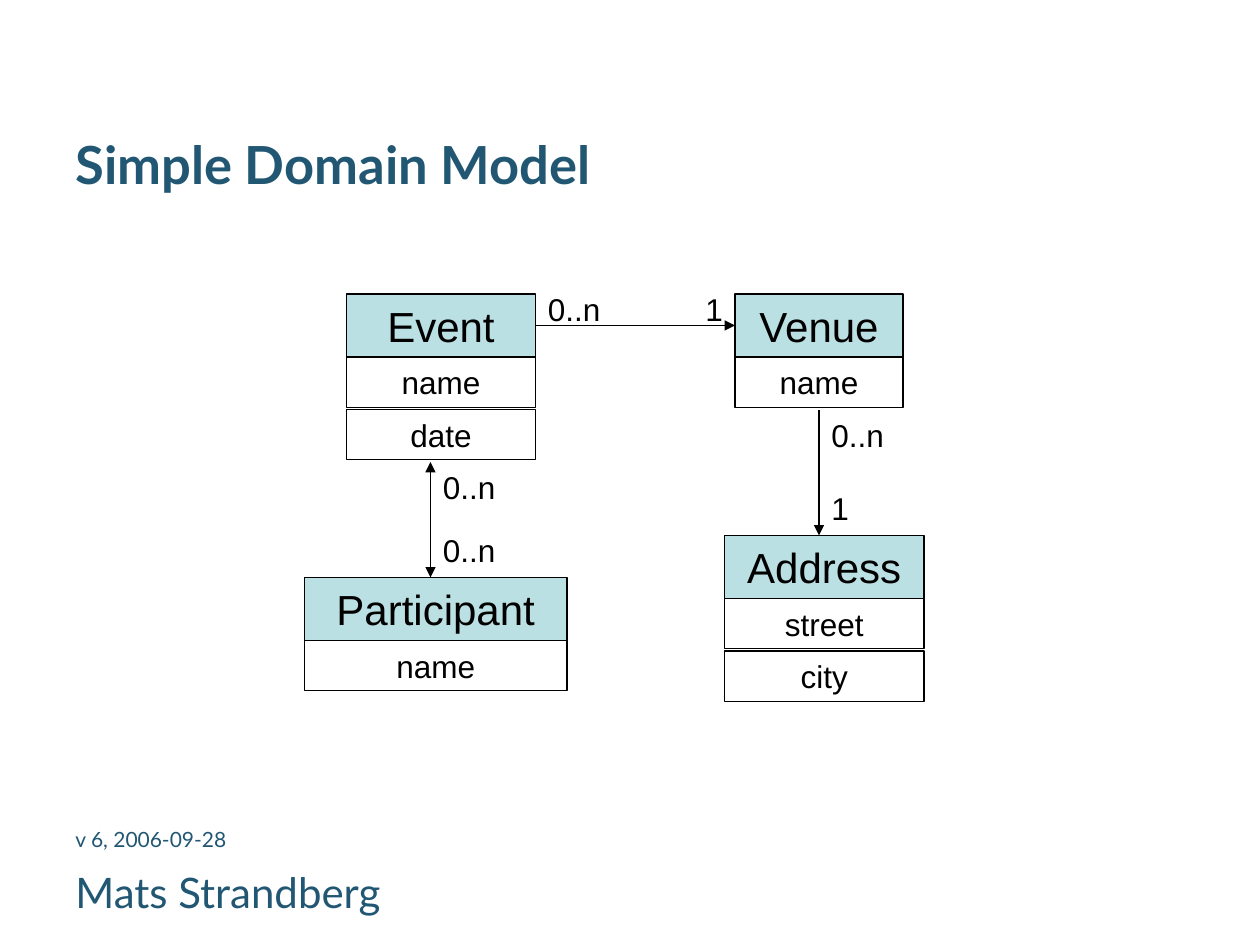
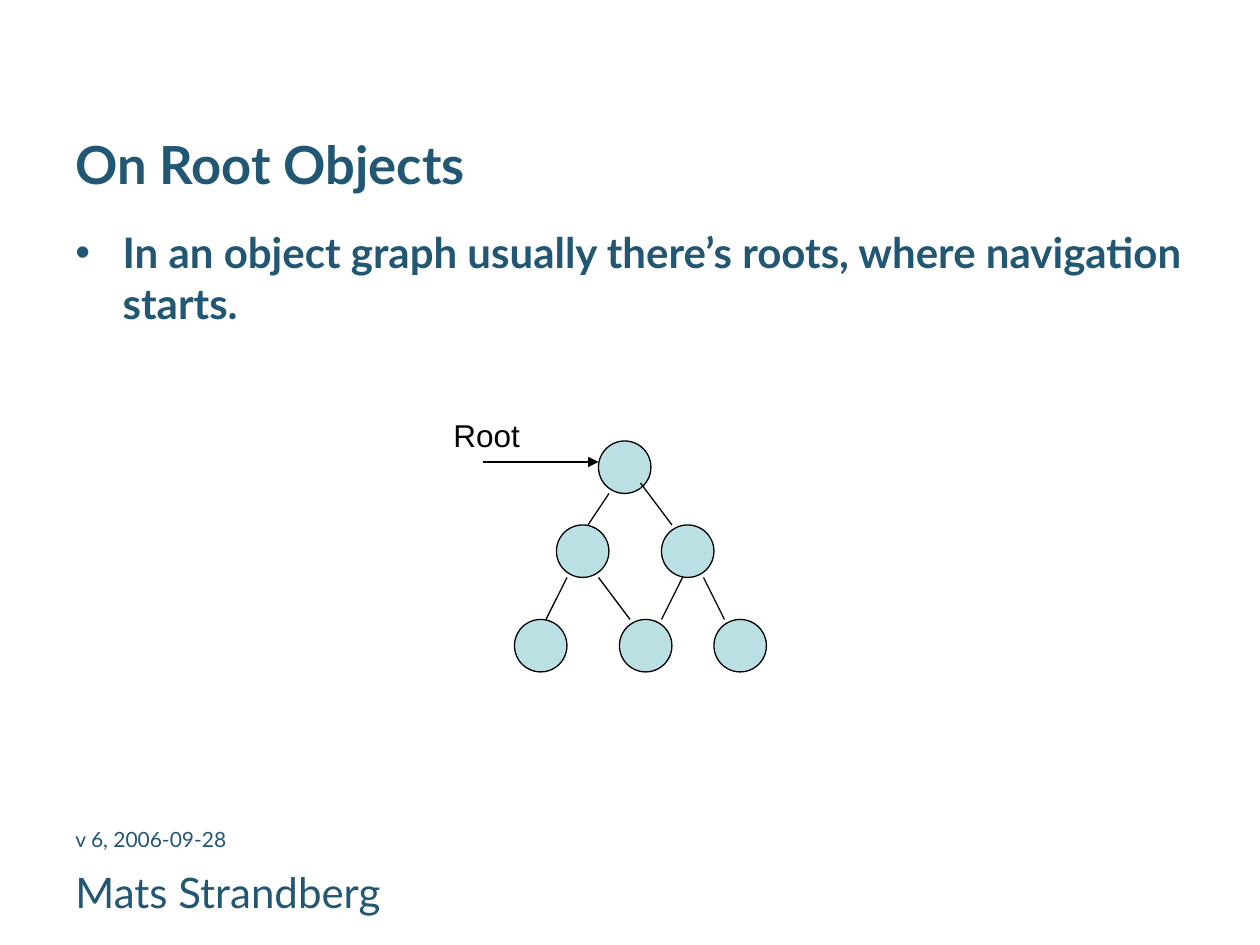
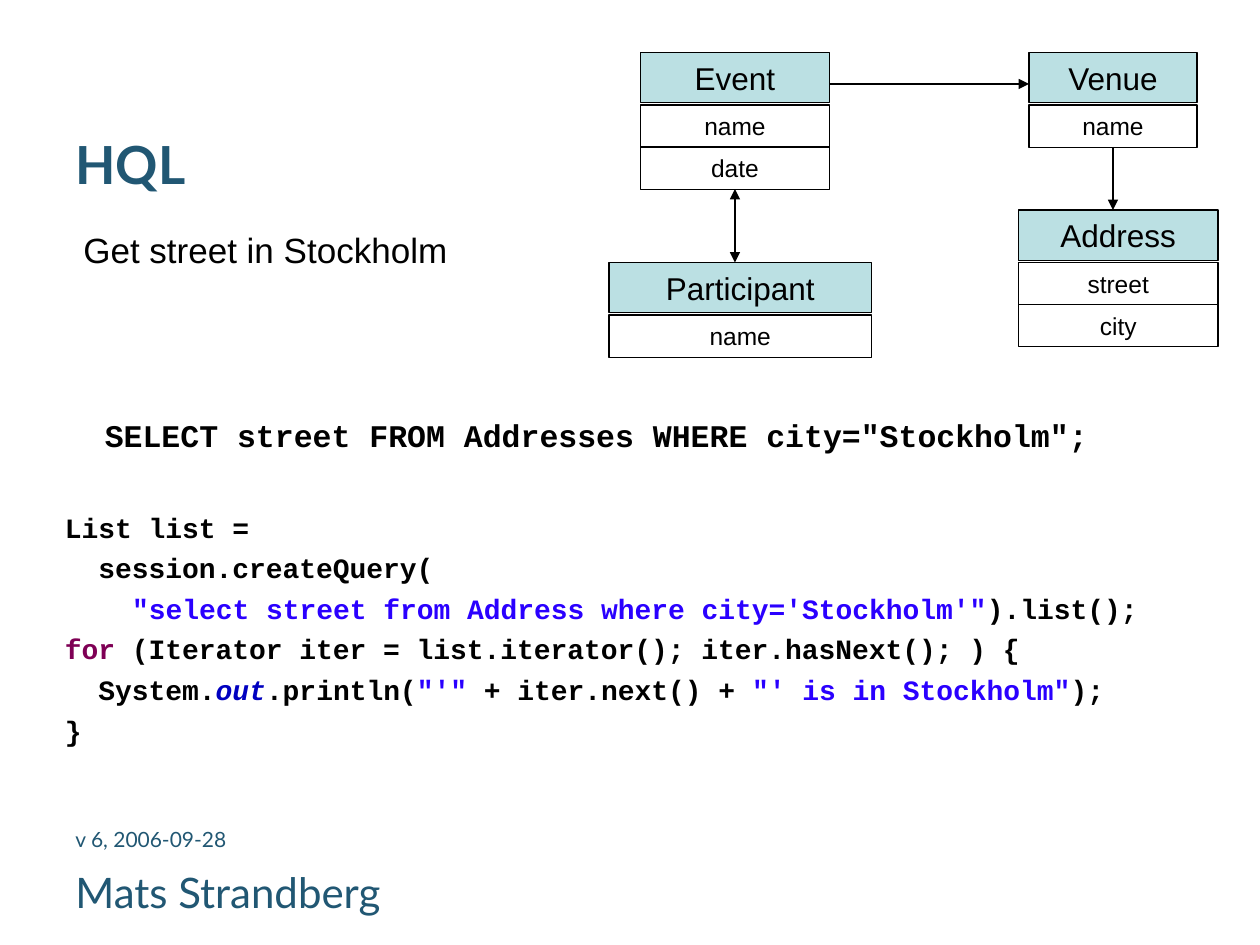
from lxml import etree
from pptx import Presentation
from pptx.dml.color import RGBColor
from pptx.enum import shapes, text
from pptx.oxml.ns import qn
from pptx.util import Pt

# Shared style
PETROL = RGBColor(0x21, 0x57, 0x73)
AQUA = RGBColor(0xBB, 0xE0, 0xE3)
BLACK = RGBColor(0, 0, 0)
STRING = RGBColor(0x2A, 0x00, 0xFF)
KEYWORD = RGBColor(0x7F, 0x00, 0x55)
FIELD = RGBColor(0x00, 0x00, 0xC0)
HEADING, BODY, CODE = "Lato", "Arial", "Courier New"
THIN = 0.75

# Content: lengths in points
AUTHOR = "Mats Strandberg"
VERSION = "v 6, 2006-09-28"

# Class name: (width, attributes)
CLASSES = {
    "Event": (108, ["name", "date"]),
    "Participant": (150, ["name"]),
    "Venue": (96, ["name"]),
    "Address": (114, ["street", "city"]),
}
LARGE_MODEL = {
    "places": {"Event": (198, 168), "Participant": (174, 330),
               "Venue": (420, 168), "Address": (414, 306)},
    "head_pitch": 36, "head_height": 36, "head_size": 24,
    "row_pitch": 30, "row_height": 28.8, "row_size": 18,
    "participant_link_x": 246,
}
SMALL_MODEL = {
    "places": {"Event": (366, 30), "Participant": (348, 150),
               "Venue": (588, 30), "Address": (582, 120)},
    "head_pitch": 30, "head_height": 28.8, "head_size": 18,
    "row_pitch": 24, "row_height": 24.2, "row_size": 14,
    "participant_link_x": 420,
}
# Text, left, top, width
MULTIPLICITIES = [
    ("0..n", 246, 264, 45), ("0..n", 246, 300, 45),
    ("0..n", 306, 162, 45), ("1", 396, 162, 24.5),
    ("0..n", 468, 234, 45), ("1", 468, 276, 24.5),
]

ROOTS_POINT = "In an object graph usually there’s roots, where navigation starts."
NODE_SIZE = 30
NODE_ROWS = [(252, [342]), (300, [318, 378]), (354, [294, 354, 408])]
EDGES = [
    ((348, 282), (336, 300)), ((366, 276), (384, 300)),
    ((324, 330), (312, 354)), ((342, 330), (360, 354)),
    ((390, 330), (378, 354)), ((402, 330), (414, 354)),
]

QUERY_TASK = "Get street in Stockholm"
SQL = 'SELECT street FROM Addresses WHERE city="Stockholm";'
CODE_STEP = 19.2
# Indent level, coloured pieces
CODE_LINES = [
    (0, [("List list =", BLACK)]),
    (1, [("session.createQuery(", BLACK)]),
    (2, [("\"select street from Address where city='Stockholm'\"", STRING),
         (").list();", BLACK)]),
    (0, [("for", KEYWORD),
         (" (Iterator iter = list.iterator(); iter.hasNext(); ) {", BLACK)]),
    (1, [("System.", BLACK), ("out", FIELD), (".println(", BLACK),
         ("\"'\"", STRING), (" + iter.next() + ", BLACK),
         ("\"' is in Stockholm\"", STRING), (");", BLACK)]),
    (0, [("}", BLACK)]),
]


def style(run, size, font=BODY, color=BLACK, bold=False):
    run.font.size = Pt(size)
    run.font.name = font
    run.font.color.rgb = color
    run.font.bold = bold


def add_text(slide, words, left, top, width, height, size, wrap=True, **look):
    box = slide.shapes.add_textbox(Pt(left), Pt(top), Pt(width), Pt(height))
    frame = box.text_frame
    frame.word_wrap = wrap
    if not wrap:
        frame.auto_size = text.MSO_AUTO_SIZE.SHAPE_TO_FIT_TEXT
    frame.text = words
    for run in frame.paragraphs[0].runs:
        style(run, size, **look)
    return frame


def add_outlined(slide, kind, left, top, width, height, fill=None):
    outlined = slide.shapes.add_shape(kind, Pt(left), Pt(top), Pt(width), Pt(height))
    outlined.shadow.inherit = False
    if fill is None:
        outlined.fill.background()
    else:
        outlined.fill.solid()
        outlined.fill.fore_color.rgb = fill
    outlined.line.color.rgb = BLACK
    outlined.line.width = Pt(THIN)
    return outlined


def add_cell(slide, words, left, top, width, height, size, fill=None):
    cell = add_outlined(slide, shapes.MSO_SHAPE.RECTANGLE, left, top, width, height, fill)
    frame = cell.text_frame
    frame.vertical_anchor = text.MSO_ANCHOR.TOP
    frame.text = words
    frame.paragraphs[0].alignment = text.PP_ALIGN.CENTER
    style(frame.paragraphs[0].runs[0], size)


def add_link(slide, start, end, arrows=()):
    """Draw a line; arrows names the ends with a head, headEnd before tailEnd."""
    link = slide.shapes.add_connector(
        shapes.MSO_CONNECTOR.STRAIGHT, *(Pt(v) for v in (*start, *end)))
    link.line.color.rgb = BLACK
    link.line.width = Pt(THIN)
    for arrow in arrows:
        etree.SubElement(link.line._get_or_add_ln(), qn(f"a:{arrow}"), type="triangle")
    etree.SubElement(link._element.spPr, qn("a:effectLst"))


def add_model(slide, model):
    places = model["places"]
    bottoms = {}
    for name, (width, attributes) in CLASSES.items():
        left, top = places[name]
        add_cell(slide, name, left, top, width, model["head_height"],
                 model["head_size"], AQUA)
        row_top = top + model["head_pitch"]
        for attribute in attributes:
            add_cell(slide, attribute, left, row_top, width,
                     model["row_height"], model["row_size"])
            row_top += model["row_pitch"]
        bottoms[name] = row_top

    # Associations
    event_left, event_top = places["Event"]
    venue_left, _ = places["Venue"]
    venue_middle = venue_left + CLASSES["Venue"][0] / 2
    participant_x = model["participant_link_x"]
    add_link(slide, (participant_x, bottoms["Event"]),
             (participant_x, places["Participant"][1]), ("headEnd", "tailEnd"))
    add_link(slide, (event_left + CLASSES["Event"][0], event_top + 18),
             (venue_left, event_top + 18), ("tailEnd",))
    add_link(slide, (venue_middle, bottoms["Venue"]),
             (venue_middle, places["Address"][1]), ("tailEnd",))


def add_page(deck, title):
    slide = deck.slides.add_slide(deck.slide_layouts[6])
    add_text(slide, title, 36, 71.8, 648, 51, 30, font=HEADING, color=PETROL, bold=True)
    add_text(slide, AUTHOR, 36, 491.8, 228, 37.4, 24, font=HEADING, color=PETROL)
    add_text(slide, VERSION, 36, 468.7, 168, 28, 12, font=HEADING, color=PETROL)
    return slide


def domain_model(deck):
    slide = add_page(deck, "Simple Domain Model")
    add_model(slide, LARGE_MODEL)
    for words, left, top, width in MULTIPLICITIES:
        add_text(slide, words, left, top, width, 29, 18, wrap=False)


def root_objects(deck):
    slide = add_page(deck, "On Root Objects")
    frame = add_text(slide, ROOTS_POINT, 36, 126, 648, 314, 24,
                     font=HEADING, color=PETROL, bold=True)
    point = frame.paragraphs[0]
    point.space_before = Pt(6)
    props = point._p.get_or_add_pPr()
    props.set("marL", str(Pt(27)))
    props.set("indent", str(-Pt(27)))
    etree.SubElement(props, qn("a:buFont"), typeface=BODY)
    etree.SubElement(props, qn("a:buChar"), char="•")

    # Object graph
    for top, lefts in NODE_ROWS:
        for left in lefts:
            add_outlined(slide, shapes.MSO_SHAPE.OVAL, left, top,
                         NODE_SIZE, NODE_SIZE, AQUA)
    for start, end in EDGES:
        add_link(slide, start, end)
    add_link(slide, (276, 264), (342, 264), ("tailEnd",))
    add_text(slide, "Root", 252, 234, 53, 29, 18, wrap=False)


def hql(deck):
    slide = add_page(deck, "HQL")
    add_model(slide, SMALL_MODEL)
    add_text(slide, QUERY_TASK, 40.5, 127, 222.5, 31.7, 20, wrap=False)
    add_text(slide, SQL, 52.8, 234, 576, 29, 18, wrap=False, font=CODE, bold=True)

    # Code listing
    listing = add_text(slide, "", 30, 288, 648, 168, 16)
    for number, (level, pieces) in enumerate(CODE_LINES):
        line = listing.add_paragraph() if number else listing.paragraphs[0]
        line.space_before = Pt(4)
        line._p.get_or_add_pPr().set("marL", str(Pt(level * CODE_STEP)))
        for words, color in pieces:
            run = line.add_run()
            run.text = words
            style(run, 16, CODE, color, bold=True)
            run.font.italic = color == FIELD


def main():
    deck = Presentation()
    deck.slide_width, deck.slide_height = Pt(720), Pt(540)
    domain_model(deck)
    root_objects(deck)
    hql(deck)
    deck.save("out.pptx")


if __name__ == "__main__":
    main()
